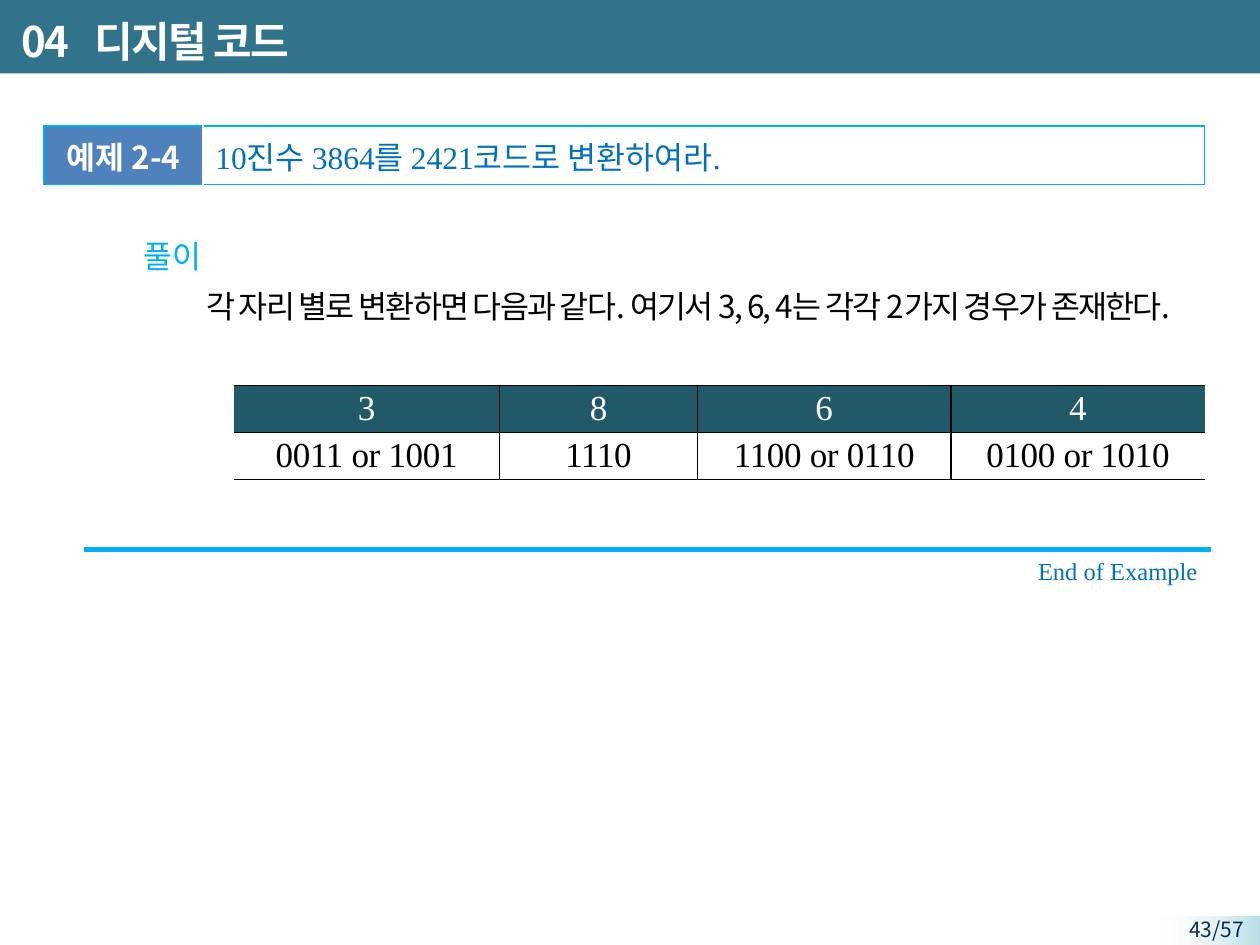
from lxml.etree import SubElement
from pptx import Presentation
from pptx.dml.color import RGBColor
from pptx.enum.shapes import MSO_CONNECTOR, MSO_SHAPE
from pptx.enum.text import MSO_ANCHOR, PP_ALIGN
from pptx.oxml import parse_xml
from pptx.oxml.ns import nsdecls, qn
from pptx.util import Pt

SANS, SERIF = "Noto Sans CJK KR", "Times New Roman"
WHITE, BLACK, CYAN, BLUE = "FFFFFF", "000000", "00B0F0", "0070C0"

TITLE = "04\t디지털 코드"
PAGE_NUMBER = "43/57"
EXAMPLE = ("예제 2-4", "10진수 3864를 2421코드로 변환하여라.")
SOLUTION_LABEL = "풀이"
SOLUTION = ("각 자리 별로 변환하면 다음과 같다. 여기서 3, 6, 4는 "
            "각각 2가지 경우가 존재한다.")
DIGIT_CODES = [
    ("3", "8", "6", "4"),
    ("0011 or 1001", "1110", "1100 or 0110", "0100 or 1010"),
]
ENDING = "End of Example"


def rgb(value):
    return RGBColor.from_string(value)


def style(paragraph, size, color, font=SANS, bold=False, spacing=0,
          align=PP_ALIGN.LEFT):
    paragraph.alignment = align
    for run in paragraph.runs:
        run.font.size, run.font.bold, run.font.name = Pt(size), bold, font
        run.font.color.rgb = rgb(color)
        properties = run.font._element
        SubElement(properties, qn("a:ea")).set("typeface", SANS)
        if spacing:
            properties.set("spc", str(round(spacing * 100)))


def add_text(slide, text, box, size, color, wrap=True,
             anchor=MSO_ANCHOR.TOP, **look):
    frame = slide.shapes.add_textbox(*map(Pt, box)).text_frame
    frame.word_wrap = wrap
    frame.vertical_anchor = anchor
    frame.text = text
    style(frame.paragraphs[0], size, color, **look)
    return frame


def add_bar(slide, box):
    bar = slide.shapes.add_shape(MSO_SHAPE.RECTANGLE, *map(Pt, box))
    bar.shadow.inherit = False
    bar.line.fill.background()
    return bar


def add_grid(slide, left, top, widths, heights):
    table = slide.shapes.add_table(
        len(heights), len(widths), Pt(left), Pt(top),
        Pt(sum(widths)), Pt(sum(heights))).table
    table.first_row = table.horz_banding = False
    for column, width in zip(table.columns, widths):
        column.width = Pt(width)
    for row, height in zip(table.rows, heights):
        row.height = Pt(height)
    return table


def fill_cell(cell, text, fill, borders, size, color, inset=None, **look):
    """Write a cell; borders maps the sides L, R, T, B to 1 pt line colours."""
    cell.text = text
    cell.vertical_anchor = MSO_ANCHOR.MIDDLE
    if inset is not None:
        cell.margin_left = cell.margin_right = Pt(inset)
        cell.margin_top = cell.margin_bottom = Pt(inset)
    style(cell.text_frame.paragraphs[0], size, color, **look)
    if fill:
        cell.fill.solid()
        cell.fill.fore_color.rgb = rgb(fill)
    else:
        cell.fill.background()
    properties = cell._tc.get_or_add_tcPr()
    for index, side in enumerate("LRTB"):
        line = borders.get(side)
        paint = (f'<a:solidFill><a:srgbClr val="{line}"/></a:solidFill>'
                 if line else "<a:noFill/>")
        properties.insert(index, parse_xml(
            f'<a:ln{side} {nsdecls("a")} w="{Pt(1)}">{paint}</a:ln{side}>'))


def add_header(slide):
    banner = add_bar(slide, (0, -1.5, 720, 43.5))
    banner.fill.solid()
    banner.fill.fore_color.rgb = rgb("32738C")
    title = add_text(slide, TITLE, (5, 4.5, 613, 37.5), 24, WHITE,
                     anchor=MSO_ANCHOR.MIDDLE, bold=True, spacing=-1)
    tabs = SubElement(title.paragraphs[0]._p.get_or_add_pPr(), qn("a:tabLst"))
    SubElement(tabs, qn("a:tab"), pos=str(Pt(42)), algn="l")


def add_page_number(slide):
    fade = add_bar(slide, (662.5, 523.5, 57.5, 17))
    fade.fill.gradient()
    fade.fill.gradient_angle = 180
    for stop, (position, color) in zip(fade.fill.gradient_stops,
                                       [(0, "B7DEE8"), (1, "F2F2F2")]):
        stop.position = position
        stop.color.rgb = rgb(color)
    clear_end = list(fade._element.iter(qn("a:srgbClr")))[-1]
    SubElement(clear_end, qn("a:alpha")).set("val", "0")
    add_text(slide, PAGE_NUMBER, (651.5, 520, 66.5, 16.5), 12, "0F2E53",
             align=PP_ALIGN.RIGHT)


def add_example(slide):
    table = add_grid(slide, 25.2, 72, (90.7, 572.4), (33.5,))
    number, question = EXAMPLE
    edges = {"T": CYAN, "B": CYAN}
    fill_cell(table.cell(0, 0), number, "4F81BD",
              {**edges, "L": CYAN, "R": WHITE}, 18, WHITE,
              bold=True, align=PP_ALIGN.CENTER)
    fill_cell(table.cell(0, 1), question, None,
              {**edges, "L": WHITE, "R": CYAN}, 18, BLUE, font=SERIF)


def add_solution(slide):
    add_text(slide, SOLUTION_LABEL, (75, 132, 56, 29), 18, CYAN, wrap=False)
    answer = add_text(slide, SOLUTION, (110.8, 160.5, 585.5, 86.5), 18, BLACK,
                      spacing=-1, align=PP_ALIGN.JUSTIFY)
    answer.margin_top = Pt(7)
    answer.paragraphs[0].line_spacing = 0.83

    widths = (152, 113, 145, 145)
    table = add_grid(slide, 133.5, 220.3, widths, (25, 25))
    row_looks = [("215968", WHITE, -0.5), (None, BLACK, -0.2)]
    for row, (codes, look) in enumerate(zip(DIGIT_CODES, row_looks)):
        fill, color, spacing = look
        for column, code in enumerate(codes):
            borders = {"T": BLACK, "B": BLACK}
            if column > 0:
                borders["L"] = BLACK
            if column < len(codes) - 1:
                borders["R"] = BLACK
            fill_cell(table.cell(row, column), code, fill, borders, 20, color,
                      inset=1.44, font=SERIF, spacing=spacing,
                      align=PP_ALIGN.CENTER)


def add_ending(slide):
    rule = slide.shapes.add_connector(MSO_CONNECTOR.STRAIGHT, Pt(48), Pt(314),
                                      Pt(692), Pt(314))
    rule.line.color.rgb = rgb(CYAN)
    rule.line.width = Pt(3)
    SubElement(rule._element.spPr, qn("a:effectLst"))
    add_text(slide, ENDING, (585.5, 314, 106.5, 24.5), 14, BLUE, wrap=False,
             font=SERIF, align=PP_ALIGN.CENTER)


def main():
    presentation = Presentation()
    presentation.slide_width, presentation.slide_height = Pt(720), Pt(540)
    slide = presentation.slides.add_slide(presentation.slide_layouts[6])
    add_header(slide)
    add_page_number(slide)
    add_example(slide)
    add_solution(slide)
    add_ending(slide)
    presentation.save("out.pptx")


if __name__ == "__main__":
    main()
